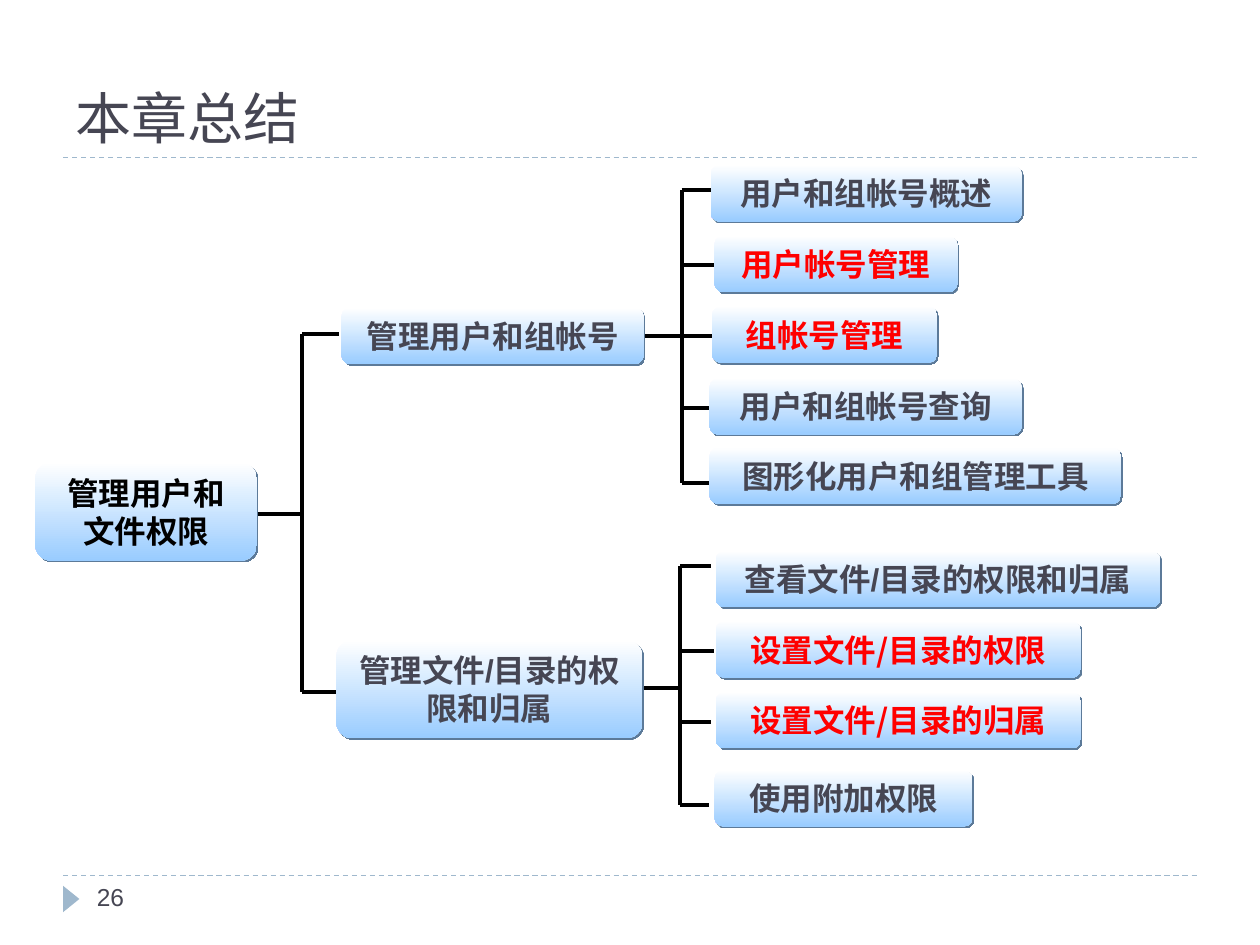
import pptx
import pptx.util
import pptx.dml.color
import pptx.enum.dml
import pptx.enum.lang
import pptx.enum.shapes
import pptx.enum.text
import pptx.oxml.ns
from dataclasses import dataclass
from lxml import etree

Inches = pptx.util.Inches
Pt = pptx.util.Pt
Anchor = pptx.enum.text.MSO_ANCHOR
Align = pptx.enum.text.PP_ALIGN
Shape = pptx.enum.shapes.MSO_SHAPE


@dataclass(frozen=True)
class Theme:
    """Colours, fonts and type sizes of the slide."""
    ink: str = "464653"
    black: str = "000000"
    red: str = "FF0000"
    blue: str = "9FB8CD"
    light: str = "FFFFFF"
    sky: str = "99CCFF"
    shade: str = "5C7A99"
    serif: str = "TeX Gyre Bonum"
    sans: str = "Arial"
    han: str = "Noto Sans CJK SC"
    head: int = 32
    text: int = 18
    foot: int = 14


THEME = Theme()

LEAVES = [
    (5.64, 1.31, 2.47, 0.45, "用户和组帐号概述", THEME.ink, THEME.sans),
    (5.67, 1.87, 1.93, 0.45, "用户帐号管理", THEME.red, THEME.sans),
    (5.65, 2.43, 1.79, 0.45, "组帐号管理", THEME.red, THEME.sans),
    (5.63, 3.00, 2.48, 0.45, "用户和组帐号查询", THEME.ink, THEME.sans),
    (5.63, 3.55, 3.27, 0.45, "图形化用户和组管理工具", THEME.ink, THEME.sans),
    (5.68, 4.37, 3.53, 0.45, "查看文件/目录的权限和归属", THEME.ink, THEME.sans),
    (5.68, 4.93, 2.90, 0.45, "设置文件/目录的权限", THEME.red, THEME.han),
    (5.68, 5.49, 2.90, 0.45, "设置文件/目录的归属", THEME.red, THEME.han),
    (5.67, 6.11, 2.05, 0.45, "使用附加权限", THEME.ink, THEME.han),
]
STEMS = [
    (0.28, 3.67, 1.76, 0.78, "管理用户和文件权限", THEME.black, THEME.sans),
    (2.71, 2.44, 2.40, 0.45, "管理用户和组帐号", THEME.ink, THEME.sans),
    (2.67, 5.08, 2.43, 0.78, "管理文件/目录的权限和归属", THEME.ink, THEME.sans),
]
FORKS = [
    (2.40, (2.03, 4.08), [(2.69, 2.65), (2.69, 5.49)]),
    (5.41, (5.08, 2.67), [(5.65, 1.51), (5.67, 2.10), (5.68, 2.67),
                          (5.71, 3.24), (5.67, 3.83)]),
    (5.40, (5.11, 5.46), [(5.64, 4.49), (5.67, 5.17), (5.64, 5.73), (5.63, 6.39)]),
]


def tint(code):
    """Turn a hex code into a colour."""
    return pptx.dml.color.RGBColor.from_string(code)


def put(item, **vals):
    """Set each named value on an item."""
    for name, val in vals.items():
        setattr(item, name, val)


def write(frame, text, face, size, code, bold=False, side=Align.LEFT,
          anchor=Anchor.TOP):
    """Write one styled paragraph into a text frame."""
    put(frame, word_wrap=True, vertical_anchor=anchor)
    line = frame.paragraphs[0]
    line.alignment = side
    run = line.add_run()
    run.text = text
    put(run.font, name=face, size=Pt(size), bold=bold,
        language_id=pptx.enum.lang.MSO_LANGUAGE_ID.SIMPLIFIED_CHINESE)
    run.font.color.rgb = tint(code)


def effects(shape):
    """Add an empty effect list to a shape."""
    return etree.SubElement(shape._element.spPr, pptx.oxml.ns.qn("a:effectLst"))


def shadow(shape):
    """Give a shape a hard lower right shadow."""
    qn = pptx.oxml.ns.qn
    cast = etree.SubElement(effects(shape), qn("a:outerShdw"),
                            dist=str(Pt(1.4)), dir="2700000", algn="ctr",
                            rotWithShape="0")
    etree.SubElement(cast, qn("a:srgbClr"), val=THEME.shade)


def rule(slide, x1, y1, x2, y2, code=THEME.black, width=2.25, dash=None):
    """Draw one straight line."""
    kind = pptx.enum.shapes.MSO_CONNECTOR.STRAIGHT
    line = slide.shapes.add_connector(kind, *map(Inches, (x1, y1, x2, y2)))
    line.line.color.rgb = tint(code)
    put(line.line, width=Pt(width), dash_style=dash)
    effects(line)


def fork(slide, x, stem, ends):
    """Join a stem to its ends by a spine and ticks."""
    rule(slide, stem[0], stem[1], x, stem[1])
    rule(slide, x, ends[0][1], x, ends[-1][1])
    for right, y in ends:
        rule(slide, x, y, right, y)


def node(slide, x, y, w, h, text, code, face):
    """Draw one shaded box with its label."""
    box = slide.shapes.add_shape(Shape.ROUNDED_RECTANGLE,
                                 *map(Inches, (x, y, w, h)))
    box.fill.gradient()
    box.fill.gradient_angle = 270
    for stop, shade, pos in zip(box.fill.gradient_stops,
                                (THEME.light, THEME.sky), (0, 1)):
        stop.color.rgb = tint(shade)
        stop.position = pos
    box.line.fill.background()
    shadow(box)
    write(box.text_frame, text, face, THEME.text, code, True, Align.CENTER,
          Anchor.MIDDLE)


def title(slide, text):
    """Place and fill the title."""
    head = slide.shapes.title
    put(head, left=Inches(0.5), top=Inches(0.17), width=Inches(9),
        height=Inches(1.08))
    write(head.text_frame, text, THEME.serif, THEME.head, THEME.ink,
          anchor=Anchor.BOTTOM)


def footer(slide, text):
    """Draw the page mark and number."""
    mark = slide.shapes.add_shape(Shape.ISOSCELES_TRIANGLE,
                                  *map(Inches, (0.46, 7.07, 0.21, 0.13)))
    put(mark, rotation=90)
    mark.shadow.inherit = False
    mark.fill.solid()
    mark.fill.fore_color.rgb = tint(THEME.blue)
    mark.line.fill.background()
    page = slide.shapes.add_textbox(*map(Inches, (0.67, 6.95, 2.17, 0.4)))
    write(page.text_frame, text, THEME.sans, THEME.foot, THEME.ink)


def main():
    """Build and save the slide."""
    deck = pptx.Presentation()
    put(deck, slide_width=Inches(10), slide_height=Inches(7.5))
    slide = deck.slides.add_slide(deck.slide_layouts[5])
    for y in (6.95, 1.25):
        rule(slide, 0.5, y, 9.5, y, THEME.blue, 0.75,
             pptx.enum.dml.MSO_LINE.DASH)
    title(slide, "本章总结")
    footer(slide, "26")
    for parts in FORKS:
        fork(slide, *parts)
    for parts in STEMS + LEAVES:
        node(slide, *parts)
    deck.save("out.pptx")


if __name__ == "__main__":
    main()
